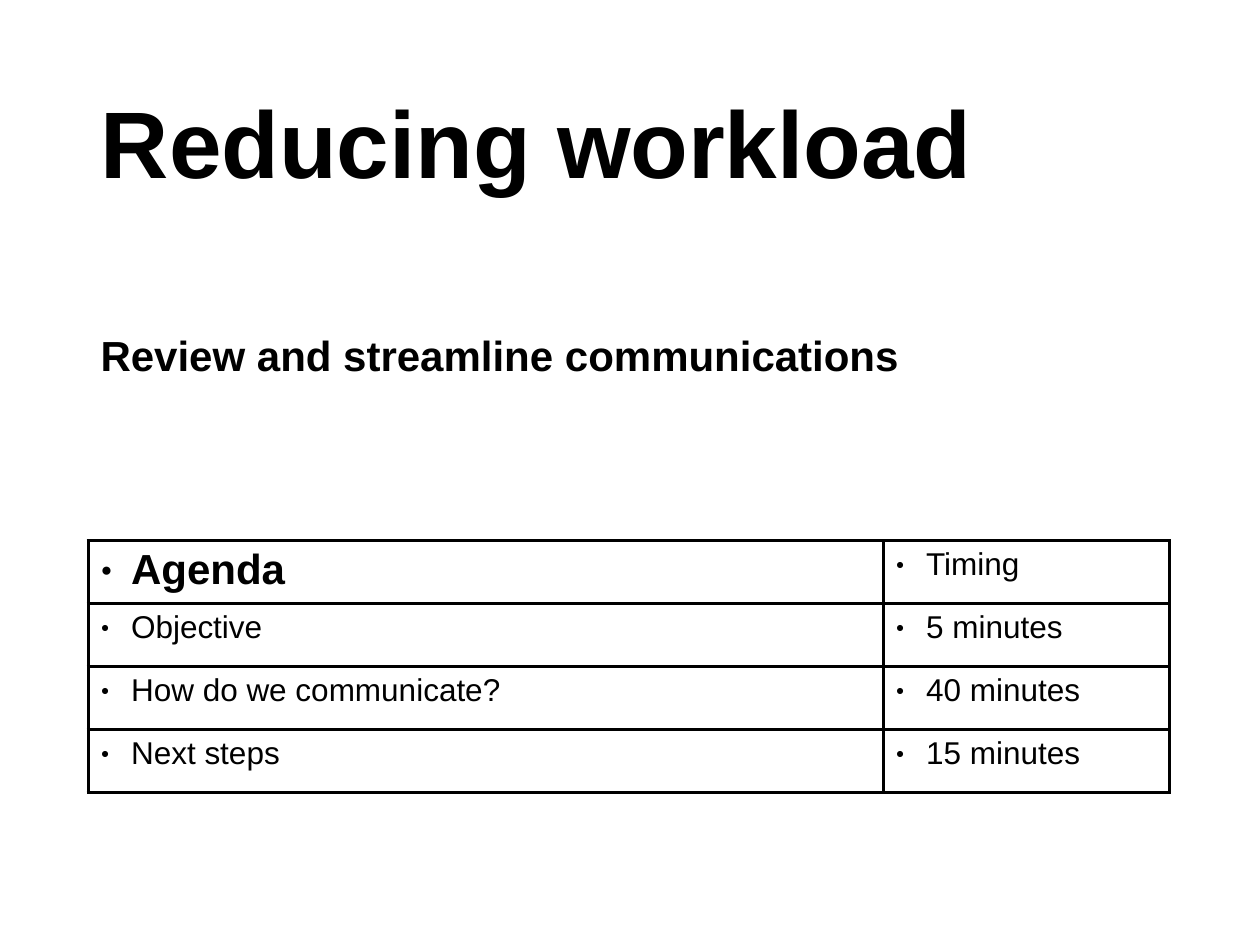
from typing import NamedTuple

from lxml import etree
from pptx import Presentation
from pptx import util as u
from pptx.dml.color import RGBColor
from pptx.enum import text
from pptx.oxml.ns import qn

BLACK = RGBColor(0, 0, 0)
WHITE = RGBColor(255, 255, 255)
FONT = "Arial"
WIDTH, HEIGHT = u.Inches(10), u.Inches(7.5)
LEFT = u.Inches(0.7)
ROW_HEIGHT = u.Inches(0.5)
COLUMN_WIDTHS = (u.Inches(6.31), u.Inches(2.27))
BULLET_INDENT = u.Inches(0.24)
BORDER_WIDTH = u.Pt(1.98)


class AgendaItem(NamedTuple):
    topic: str
    timing: str


AGENDA = (
    AgendaItem("Agenda", "Timing"),
    AgendaItem("Objective", "5 minutes"),
    AgendaItem("How do we communicate?", "40 minutes"),
    AgendaItem("Next steps", "15 minutes"),
)


def write(frame, wording: str, size: float, bold: bool):
    frame.text = wording
    paragraph = frame.paragraphs[0]
    paragraph.alignment = text.PP_ALIGN.LEFT
    paragraph.font.name = FONT
    paragraph.font.size = u.Pt(size)
    paragraph.font.bold = bold
    paragraph.font.color.rgb = BLACK
    return paragraph


def add_solid_fill(parent, color: RGBColor) -> None:
    fill = etree.SubElement(parent, qn("a:solidFill"))
    etree.SubElement(fill, qn("a:srgbClr"), val=str(color))


def add_bullet(paragraph) -> None:
    properties = paragraph._p.get_or_add_pPr()
    properties.set("marL", str(BULLET_INDENT))
    properties.set("indent", str(-BULLET_INDENT))
    bullet_color = etree.SubElement(properties, qn("a:buClr"))
    etree.SubElement(bullet_color, qn("a:srgbClr"), val=str(BLACK))
    etree.SubElement(properties, qn("a:buSzPct"), val="45000")
    etree.SubElement(properties, qn("a:buFont"), typeface=FONT)
    etree.SubElement(properties, qn("a:buChar"), char="●")
    properties.append(properties.find(qn("a:defRPr")))


def add_borders(cell) -> None:
    properties = cell._tc.get_or_add_tcPr()
    for side in ("lnL", "lnR", "lnT", "lnB"):
        border = etree.SubElement(properties, qn(f"a:{side}"), w=str(BORDER_WIDTH))
        add_solid_fill(border, BLACK)


def format_cell(cell, wording: str, is_heading: bool) -> None:
    add_bullet(write(cell.text_frame, wording, 24 if is_heading else 18, is_heading))
    add_borders(cell)
    cell.fill.solid()
    cell.fill.fore_color.rgb = WHITE


def add_agenda(slide) -> None:
    agenda = slide.shapes.add_table(
        len(AGENDA), len(COLUMN_WIDTHS), LEFT, u.Inches(4.29),
        sum(COLUMN_WIDTHS), ROW_HEIGHT * len(AGENDA),
    ).table
    agenda.first_row = agenda.horz_banding = False
    for column, width in zip(agenda.columns, COLUMN_WIDTHS):
        column.width = width
    for row, item in enumerate(AGENDA):
        agenda.rows[row].height = ROW_HEIGHT
        for column, wording in enumerate(item):
            format_cell(agenda.cell(row, column), wording, row == column == 0)


def main() -> None:
    deck = Presentation()
    deck.slide_width, deck.slide_height = WIDTH, HEIGHT
    slide = deck.slides.add_slide(deck.slide_layouts[5])

    title = slide.shapes.title
    title.left, title.top = LEFT, u.Inches(0.43)
    title.width, title.height = u.Inches(8.5), u.Inches(1.37)
    title.text_frame.vertical_anchor = text.MSO_ANCHOR.MIDDLE
    title.text_frame.auto_size = text.MSO_AUTO_SIZE.NONE
    write(title.text_frame, "Reducing workload", 54, True)

    subtitle = slide.shapes.add_textbox(LEFT, u.Inches(2.57), u.Inches(8.27), u.Inches(0.5))
    subtitle.text_frame.word_wrap = True
    subtitle.text_frame.auto_size = text.MSO_AUTO_SIZE.SHAPE_TO_FIT_TEXT
    write(subtitle.text_frame, "Review and streamline communications", 24, True)

    add_agenda(slide)
    deck.save("out.pptx")


if __name__ == "__main__":
    main()
